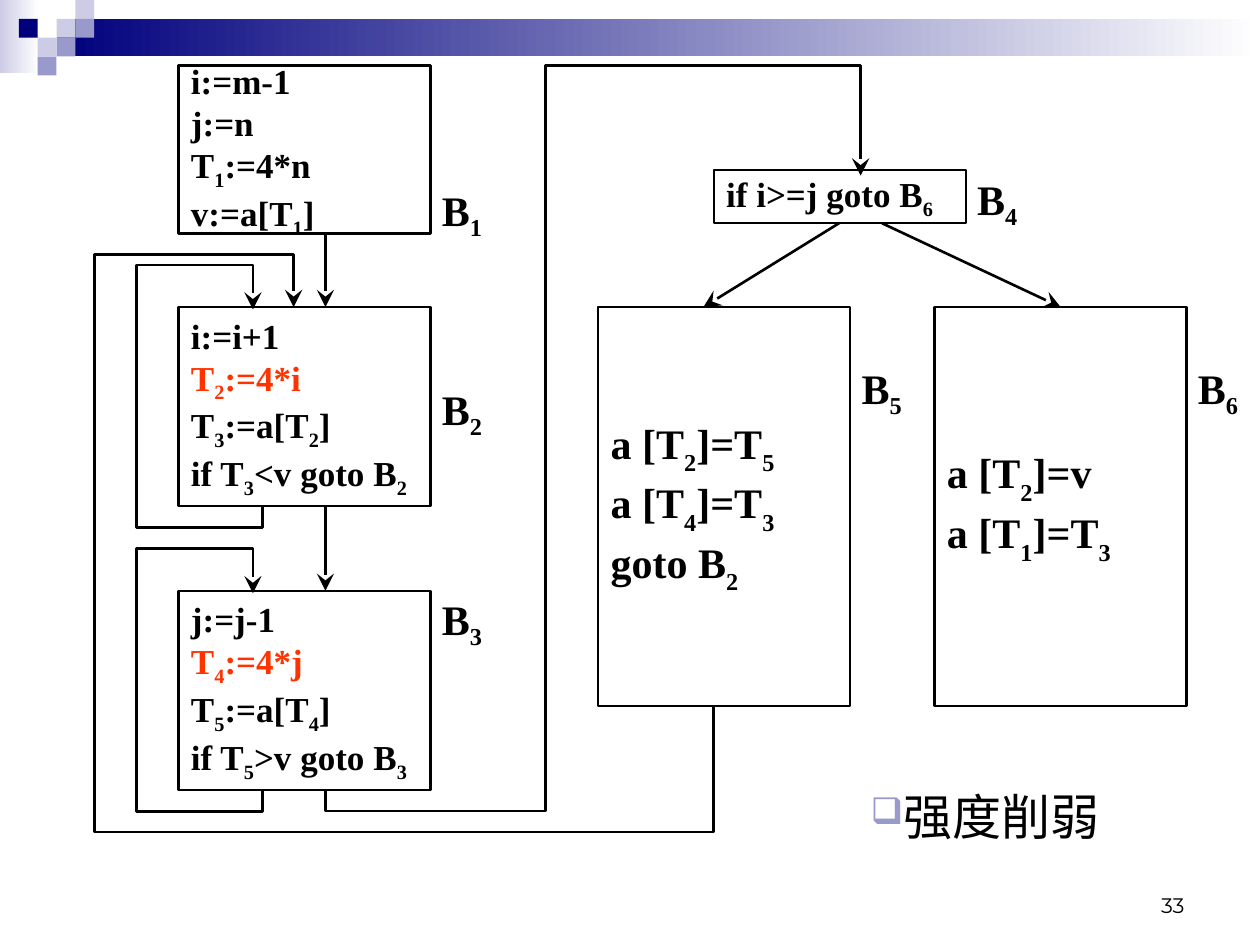
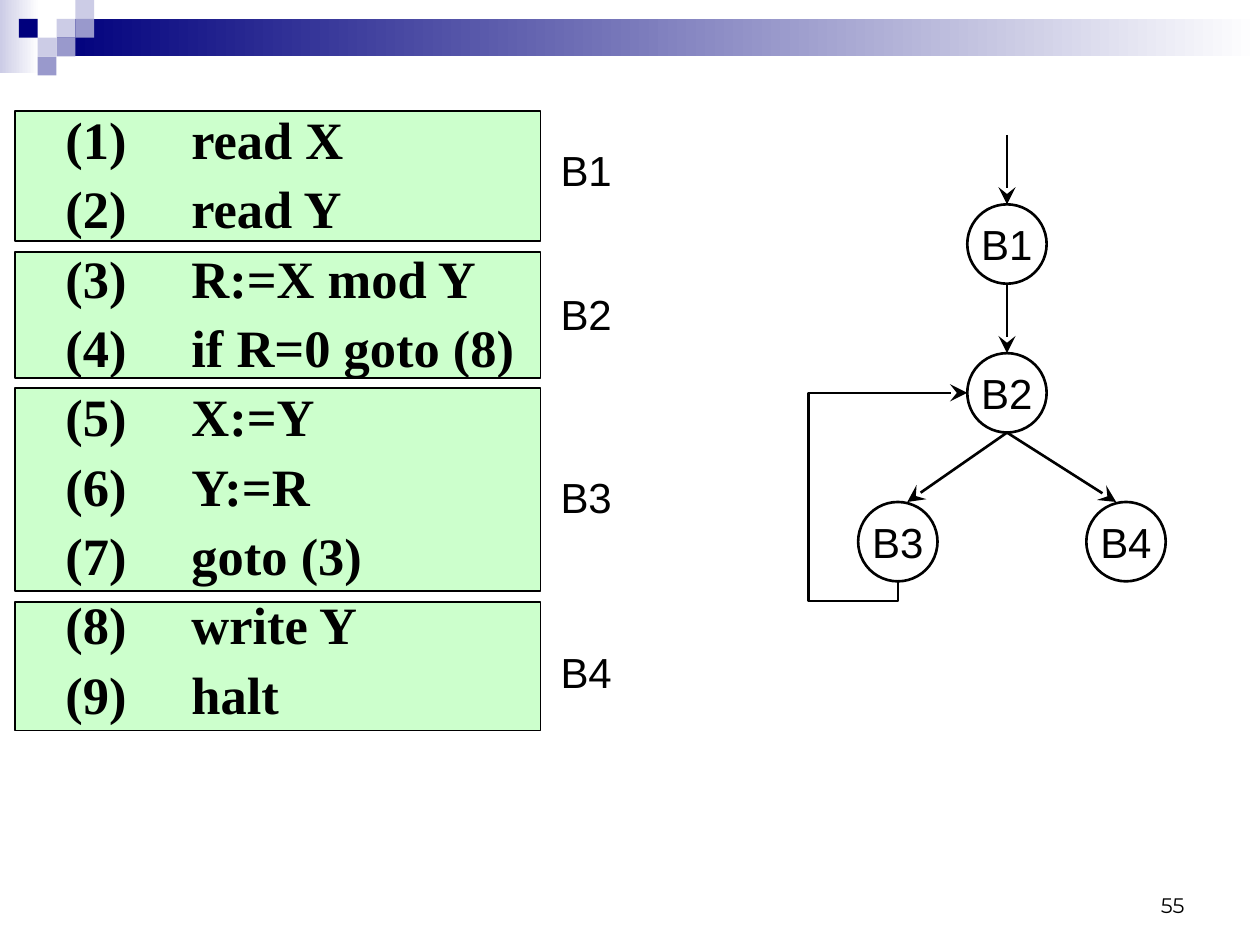
from dataclasses import dataclass
from typing import Any

from lxml.etree import SubElement
from pptx import Presentation
from pptx.dml.color import RGBColor
from pptx.enum.shapes import MSO_CONNECTOR as Link, MSO_SHAPE as Preset
from pptx.enum.text import MSO_ANCHOR as Anchor, PP_ALIGN as Align
from pptx.oxml.ns import qn
from pptx.util import Cm, Pt

BLACK = RGBColor(0x00, 0x00, 0x00)
WHITE = RGBColor(0xFF, 0xFF, 0xFF)
NAVY = RGBColor(0x00, 0x00, 0x7D)
LAVENDER = RGBColor(0xCC, 0xCC, 0xE6)
PERIWINKLE = RGBColor(0x99, 0x99, 0xCC)
REDUCED = RGBColor(0xFF, 0x33, 0x00)
MINT = RGBColor(0xCC, 0xFF, 0xCC)

SERIF = {"name": "Times New Roman", "bold": True}
CODE = {**SERIF, "size": Pt(20)}
BIG_CODE = {**SERIF, "size": Pt(24)}
LISTING = {**SERIF, "size": Pt(30)}
NODE = {"name": "Arial", "size": Pt(24)}
PAGE = {"name": "Montserrat", "size": Pt(12)}
TOPIC = {"name": "Noto Sans CJK SC", "size": Pt(28)}

GRID = 0.38
SQUARES = [(3, 1, LAVENDER), (4, 0, LAVENDER), (4, 1, PERIWINKLE),
           (2, 2, LAVENDER), (1, 1, NAVY), (3, 2, PERIWINKLE), (2, 3, PERIWINKLE)]

Point = tuple[float, float]


@dataclass
class BasicBlock:
    name: str
    left: float
    top: float
    height: float
    label_top: float
    lines: list[str]
    style: dict[str, Any]
    drop: int = -25
    width: float = 5.08


@dataclass
class ListingBlock:
    name: str
    top: float
    height: float
    label_top: float


@dataclass
class FlowNode:
    name: str
    left: float
    top: float


FLOW_BLOCKS = [
    BasicBlock("B_1", 3.6, 1.32, 3.39, 3.45,
               ["i:=m-1", "j:=n", "T_1:=4*n", "v:=a[T_1]"], CODE),
    BasicBlock("B_2", 3.6, 6.19, 4.02, 7.46,
               ["i:=i+1", "T_2:=4*i", "T_3:=a[T_2]", "if T_3<v goto B_2"], CODE),
    BasicBlock("B_3", 3.6, 11.91, 4.02, 11.69,
               ["j:=j-1", "T_4:=4*j", "T_5:=a[T_4]", "if T_5>v goto B_3"], CODE),
    BasicBlock("B_4", 14.39, 3.43, 1.06, 3.23, ["if i>=j goto B_6"], CODE),
    BasicBlock("B_5", 12.06, 6.19, 8.04, 7.04,
               ["a [T_2]=T_5", "a [T_4]=T_3", "goto B_2"], BIG_CODE, -30),
    BasicBlock("B_6", 18.84, 6.19, 8.04, 7.04,
               ["a [T_2]=v", "a [T_1]=T_3"], BIG_CODE, -30),
]
REDUCED_LINES = {"T_2:=4*i", "T_4:=4*j"}

STATEMENTS = ["read X", "read Y", "R:=X mod Y", "if R=0 goto (8)", "X:=Y",
              "Y:=R", "goto (3)", "write Y", "halt"]
LISTING_BLOCKS = [
    ListingBlock("B1", 2.24, 2.62, 2.78),
    ListingBlock("B2", 5.08, 2.54, 5.7),
    ListingBlock("B3", 7.83, 4.08, 9.38),
    ListingBlock("B4", 12.14, 2.59, 12.9),
]
NODE_SIZE = 1.6
FLOW_NODES = [FlowNode("B1", 19.5, 4.12), FlowNode("B2", 19.5, 7.12),
              FlowNode("B3", 17.3, 10.12), FlowNode("B4", 21.9, 10.12)]


def apply_format(target: Any, values: dict[str, Any]) -> None:
    for key, value in values.items():
        setattr(target, key, value)


def add_run(paragraph: Any, text: str, style: dict[str, Any],
            color: RGBColor, drop: int = 0) -> None:
    if not text:
        return
    run = paragraph.add_run()
    run.text = text
    apply_format(run.font, style)
    run.font.color.rgb = color
    if drop:
        run.font._element.set("baseline", str(drop * 1000))


def write(shape: Any, lines: list[str], style: dict[str, Any], align: Any = Align.LEFT,
          anchor: Any = Anchor.MIDDLE, wrap: bool = True, drop: int = -25,
          spacing: float | None = None) -> None:
    frame = shape.text_frame
    apply_format(frame, {"word_wrap": wrap, "vertical_anchor": anchor})
    for index, line in enumerate(lines):
        paragraph = frame.add_paragraph() if index else frame.paragraphs[0]
        apply_format(paragraph, {"alignment": align, "line_spacing": spacing})
        color = REDUCED if line in REDUCED_LINES else BLACK
        start, *rest = line.split("_")
        add_run(paragraph, start, style, color)
        for part in rest:
            add_run(paragraph, part[0], style, color, drop)
            add_run(paragraph, part[1:], style, color)


def add_text(slide: Any, left: float, top: float, width: float, height: float,
             lines: list[str], style: dict[str, Any], **layout: Any) -> Any:
    box = slide.shapes.add_textbox(Cm(left), Cm(top), Cm(width), Cm(height))
    write(box, lines, style, **layout)
    return box


def add_box(slide: Any, preset: Any, left: float, top: float, width: float, height: float,
            fill: RGBColor | None = None, line: float = 0) -> Any:
    box = slide.shapes.add_shape(preset, Cm(left), Cm(top), Cm(width), Cm(height))
    box.shadow.inherit = False
    if fill is None:
        box.fill.background()
    else:
        box.fill.solid()
        box.fill.fore_color.rgb = fill
    if line:
        box.line.color.rgb = BLACK
        box.line.width = Pt(line)
    else:
        box.line.fill.background()
    return box


def add_arrowhead(line: Any) -> None:
    line.line.color.rgb = BLACK
    line.line.width = Pt(1.5)
    properties = line.element.spPr
    SubElement(properties.find(qn("a:ln")), qn("a:tailEnd"),
               type="stealth", w="lg", len="lg")
    SubElement(properties, qn("a:effectLst"))


def add_arrow(slide: Any, start: Point, end: Point) -> Any:
    arrow = slide.shapes.add_connector(Link.STRAIGHT, *map(Cm, start + end))
    add_arrowhead(arrow)
    return arrow


def add_route(slide: Any, points: list[Point]) -> None:
    start, *corners = [(Cm(x), Cm(y)) for x, y in points]
    builder = slide.shapes.build_freeform(*start)
    builder.add_line_segments(corners, close=False)
    route = builder.convert_to_shape()
    route.fill.background()
    add_arrowhead(route)


def add_fade(slide: Any, left: float, top: float, width: float, height: float,
             color: RGBColor) -> Any:
    band = add_box(slide, Preset.RECTANGLE, left, top, width, height)
    band.fill.gradient()
    band.fill.gradient_angle = 0
    for stop, (position, shade) in zip(band.fill.gradient_stops, [(0, color), (1, WHITE)]):
        stop.position = position
        stop.color.rgb = shade
    return band


def decorate_layout(layout: Any, slide: Any) -> None:
    for placeholder in list(layout.placeholders):
        layout.shapes.element.remove(placeholder.element)
    parts = [add_fade(slide, 0, 0, 0.79, 1.47, LAVENDER),
             add_fade(slide, 3 * GRID, GRID, 24.26, 2 * GRID, NAVY)]
    parts += [add_box(slide, Preset.RECTANGLE, column * GRID, row * GRID, GRID, GRID, color)
              for column, row, color in SQUARES]
    for part in parts:
        layout.shapes.element.append(part.element)


def add_page_number(slide: Any, number: int) -> None:
    add_text(slide, 18.21, 17.35, 5.92, 1.27, [str(number)], PAGE,
             align=Align.RIGHT, anchor=Anchor.BOTTOM)


def add_topic(slide: Any) -> None:
    topic = add_text(slide, 17.3, 15.73, 5.79, 1.45, ["强度削弱"], TOPIC, anchor=Anchor.TOP)
    paragraph = topic.text_frame.paragraphs[0]
    properties = paragraph._p.get_or_add_pPr()
    color = SubElement(properties, qn("a:buClr"))
    SubElement(color, qn("a:srgbClr"), val=str(PERIWINKLE))
    SubElement(properties, qn("a:buSzPct"), val="75000")
    SubElement(properties, qn("a:buChar"), char="❑")
    SubElement(paragraph.runs[0].font._element, qn("a:ea"), typeface=TOPIC["name"])


def add_listing(slide: Any) -> None:
    numbered = [f"({number})\t{text}" for number, text in enumerate(STATEMENTS, 1)]
    listing = add_text(slide, 1.07, 1.91, 10.16, 14.6, numbered, LISTING,
                       anchor=Anchor.TOP, spacing=1.1)
    for paragraph in listing.text_frame.paragraphs:
        tabs = SubElement(paragraph._p.get_or_add_pPr(), qn("a:tabLst"))
        SubElement(tabs, qn("a:tab"), pos=str(Cm(2.54)), algn="l")


def build_strength_reduction(slide: Any) -> None:
    add_page_number(slide, 33)
    add_topic(slide)
    boxes = {}
    for block in FLOW_BLOCKS:
        box = add_box(slide, Preset.RECTANGLE, block.left, block.top,
                      block.width, block.height, line=1.25)
        write(box, block.lines, block.style, drop=block.drop)
        boxes[block.name] = box
        add_text(slide, block.left + block.width - 0.21, block.label_top, 1.69, 1.69,
                 [block.name], BIG_CODE, align=Align.CENTER)

    for start, end in [(4.72, 6.19), (10.21, 11.91)]:
        add_arrow(slide, (6.56, start), (6.56, end))
    add_route(slide, [(6.56, 15.9), (6.56, 16.35), (11, 16.35),
                      (11, 1.32), (17.35, 1.32), (17.35, 3.54)])
    for block in FLOW_BLOCKS[1:3]:
        bottom, above = block.top + block.height, block.top - 0.85
        add_route(slide, [(5.29, bottom), (5.29, bottom + 0.43), (2.75, bottom + 0.43),
                          (2.75, above), (5.1, above), (5.1, block.top + 0.05)])
    to_exchange = add_arrow(slide, (16.93, 4.5), (14.18, 6.19))
    to_exchange.begin_connect(boxes["B_4"], 2)
    to_exit = add_arrow(slide, (17.78, 4.5), (21.38, 6.19))
    to_exit.end_connect(boxes["B_6"], 0)
    add_route(slide, [(14.39, 14.23), (14.39, 16.77), (1.9, 16.77),
                      (1.9, 5.13), (5.92, 5.13), (5.92, 6.19)])


def build_flow_graph(slide: Any) -> None:
    add_page_number(slide, 55)
    for block in LISTING_BLOCKS:
        add_box(slide, Preset.RECTANGLE, 0.3, block.top, 10.6, block.height, MINT, 1)
        add_text(slide, 11.05, block.label_top, 1.55, 1.27, [block.name], NODE,
                 anchor=Anchor.TOP, wrap=False)
    add_listing(slide)

    for node in FLOW_NODES:
        circle = add_box(slide, Preset.OVAL, node.left, node.top, NODE_SIZE, NODE_SIZE, line=1.5)
        write(circle, [node.name], NODE, align=Align.CENTER, wrap=False)
    for start, end in [((20.3, 2.72), (20.3, 4.12)), ((20.3, 5.72), (20.3, 7.12)),
                       ((20.3, 8.72), (18.29, 10.12)), ((20.3, 8.72), (22.5, 10.12))]:
        add_arrow(slide, start, end)
    add_route(slide, [(18.1, 11.72), (18.1, 12.12), (16.3, 12.12),
                      (16.3, 7.92), (19.5, 7.92)])


def main() -> None:
    deck = Presentation()
    apply_format(deck, {"slide_width": Cm(25.4), "slide_height": Cm(19.05)})
    blank = deck.slide_layouts[6]
    reduction, graph = [deck.slides.add_slide(blank) for _ in range(2)]
    decorate_layout(blank, reduction)
    build_strength_reduction(reduction)
    build_flow_graph(graph)
    deck.save("out.pptx")


if __name__ == "__main__":
    main()
